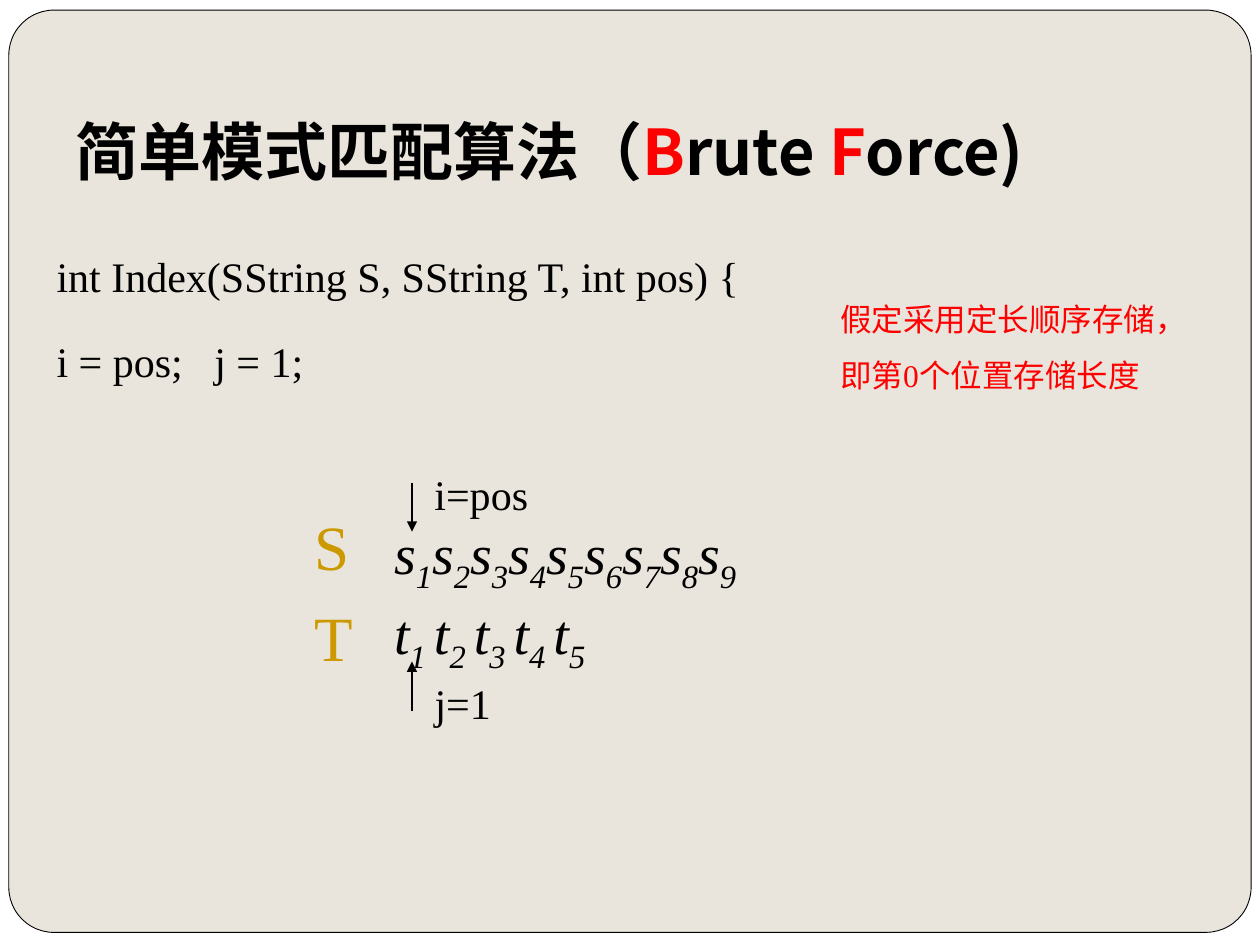
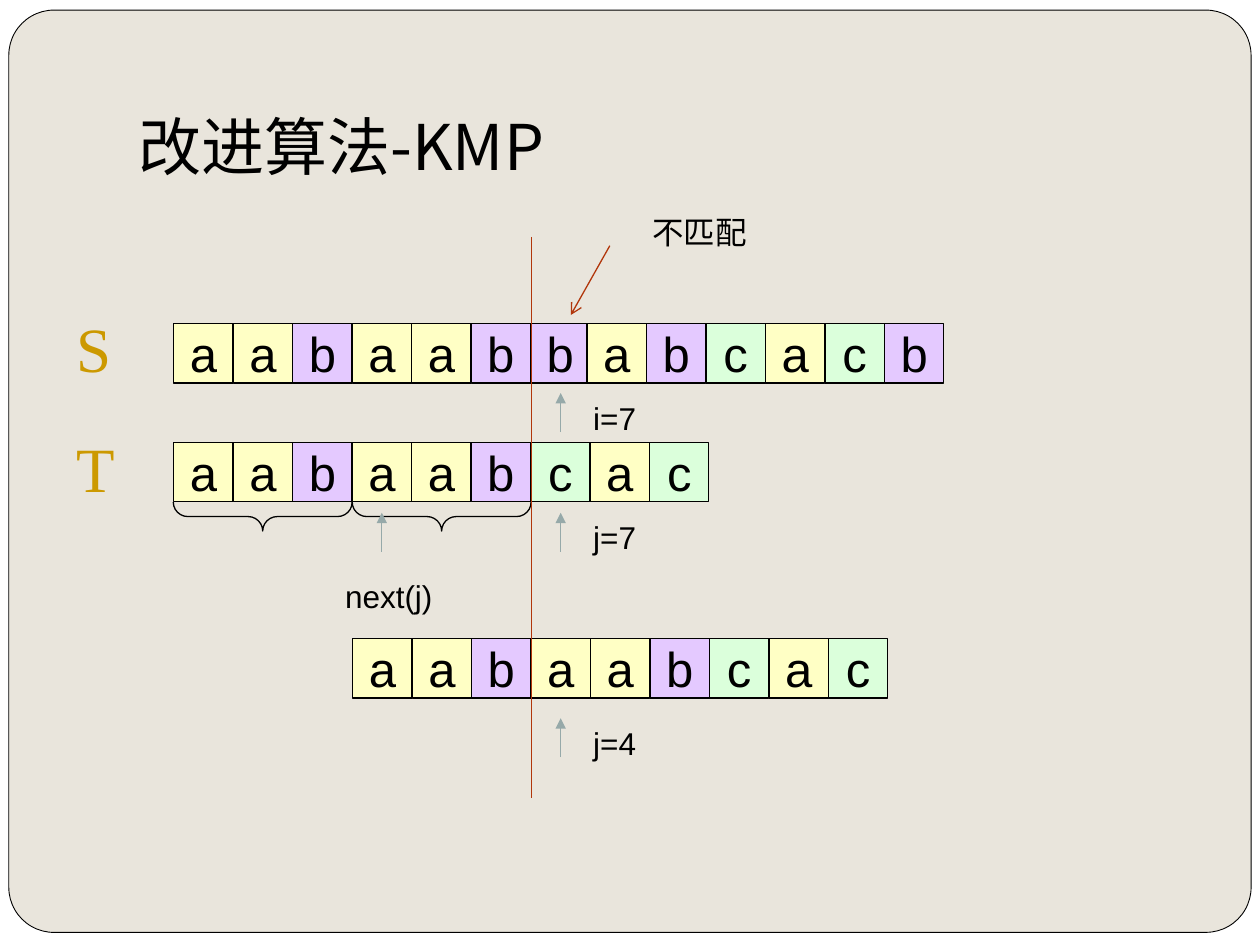
"""Build two slides on string matching: brute force and KMP."""
from dataclasses import dataclass

from lxml.etree import SubElement
from pptx import Presentation
from pptx.dml.color import RGBColor as Rgb
from pptx.enum.shapes import MSO_CONNECTOR as Link, MSO_SHAPE as Form
from pptx.enum.text import MSO_ANCHOR as Anchor, MSO_AUTO_SIZE as Fit, PP_ALIGN as Align
from pptx.oxml.ns import qn
from pptx.slide import Slide
from pptx.util import Inches, Pt

COLORS = {
    "white": "FFFFFF", "panel": "E9E5DC", "ink": "000000", "red": "FF0000",
    "gold": "CC9900", "gray": "96A9A9", "rust": "B1360B",
    "a": "FFFFC5", "b": "E4C9FF", "c": "DBFFDB",
}
HAN, SERIF, SANS = "Noto Sans CJK SC", "Times New Roman", "Arial"
STEP, CELL = 0.472, 0.47


@dataclass
class Bit:
    text: str
    color: str = ""
    base: int = 0


@dataclass
class Label:
    bits: list[Bit]
    left: float
    top: float
    width: float
    height: float
    size: int
    face: str = SERIF
    color: str = "ink"
    wrap: bool = False
    bold: bool = False
    slant: bool = False
    space: float = 1.0


@dataclass
class Stroke:
    start: tuple[float, float]
    end: tuple[float, float]
    color: str = "gray"
    head: str = "triangle"


@dataclass
class Row:
    words: list[tuple[str, float]]
    top: float


def tint(name: str) -> Rgb:
    return Rgb.from_string(COLORS[name])


def style(run, size: int, face: str, color: str) -> None:
    font = run.font
    font.size, font.name = Pt(size), face
    font.color.rgb = tint(color)
    SubElement(run._r.get_or_add_rPr(), qn("a:ea")).set("typeface", HAN)


def write(slide: Slide, label: Label):
    box = slide.shapes.add_textbox(*map(Inches, (label.left, label.top, label.width, label.height)))
    frame = box.text_frame
    frame.word_wrap = label.wrap
    frame.auto_size = Fit.SHAPE_TO_FIT_TEXT
    para = frame.paragraphs[0]
    para.line_spacing = label.space
    for bit in label.bits:
        run = para.add_run()
        run.text = bit.text
        style(run, label.size, label.face, bit.color or label.color)
        run.font.bold, run.font.italic = label.bold, label.slant
        if bit.base:
            run._r.get_or_add_rPr().set("baseline", str(bit.base * 1000))
    return frame


def title(slide: Slide, bits: list[Bit], left: float, top: float,
          width: float, height: float, bold: bool = False) -> None:
    frame = write(slide, Label(bits, left, top, width, height, 36, HAN, wrap=True, bold=bold))
    frame.auto_size = Fit.NONE
    frame.vertical_anchor = Anchor.BOTTOM
    frame.margin_bottom = Inches(0.1)


def shape(shapes, form: Form, left: float, top: float, width: float,
          height: float, fill: str = "", line: float = 0.75):
    item = shapes.add_shape(form, *map(Inches, (left, top, width, height)))
    item.shadow.inherit = False
    if fill:
        item.fill.solid()
        item.fill.fore_color.rgb = tint(fill)
    else:
        item.fill.background()
    item.line.color.rgb = tint("ink")
    item.line.width = Pt(line)
    return item


def draw(slide: Slide, stroke: Stroke) -> None:
    link = slide.shapes.add_connector(Link.STRAIGHT, *map(Inches, stroke.start + stroke.end))
    link.line.color.rgb = tint(stroke.color)
    link.line.width = Pt(0.75)
    if stroke.head:
        SubElement(link.line._get_or_add_ln(), qn("a:tailEnd")).set("type", stroke.head)
    SubElement(link._element.spPr, qn("a:effectLst"))


def cells(slide: Slide, row: Row) -> None:
    group = slide.shapes.add_group_shape()
    for word, left in row.words:
        for spot, char in enumerate(word):
            cell = shape(group.shapes, Form.RECTANGLE, left + spot * STEP, row.top, CELL, CELL, char)
            frame = cell.text_frame
            frame.word_wrap = False
            frame.vertical_anchor = Anchor.MIDDLE
            para = frame.paragraphs[0]
            para.text = char
            para.alignment = Align.CENTER
            style(para.runs[0], 28, SANS, "ink")


def brace(slide: Slide, left: float) -> None:
    item = shape(slide.shapes, Form.RIGHT_BRACE, left, 3.39, 0.23, 1.42)
    item.rotation = 90
    item.adjustments[0] = 0.504


def names(slide: Slide, left: float, tops: tuple[float, float]) -> None:
    for name, top in zip("ST", tops):
        write(slide, Label([Bit(name)], left, top, 0.5, 0.7, 36, color="gold"))


def series(char: str, count: int, gap: str = "") -> list[Bit]:
    bits = []
    for spot in range(1, count + 1):
        tail = gap if spot < count else ""
        bits += [Bit(char), Bit(f"{spot}{tail}", base=-25)]
    return bits


def start(deck) -> Slide:
    slide = deck.slides.add_slide(deck.slide_layouts[6])
    slide.background.fill.solid()
    slide.background.fill.fore_color.rgb = tint("white")
    panel = shape(slide.shapes, Form.ROUNDED_RECTANGLE, 0.07, 0.08, 9.86, 7.32, "panel", 0.5)
    panel.adjustments[0] = 0.049
    return slide


def brute(deck) -> None:
    slide = start(deck)
    code = write(slide, Label([Bit("int Index(SString S, SString T, int pos) {")],
                              0.35, 1.86, 9.65, 1.27, 24, wrap=True, space=1.2))
    line = code.add_paragraph()
    line.text = "i = pos;   j = 1;"
    line.line_spacing, line.space_before = 1.2, Pt(14)
    style(line.runs[0], 24, SERIF, "ink")
    write(slide, Label(series("s", 9), 3.03, 4.07, 3.62, 0.63, 32, wrap=True, slant=True))
    write(slide, Label(series("t", 5, " "), 3.03, 4.7, 2.76, 0.63, 32, wrap=True, slant=True))
    names(slide, 2.4, (3.98, 4.7))
    for tail, tip in ((3.83, 4.22), (5.64, 5.25)):
        draw(slide, Stroke((3.27, tail), (3.27, tip), "ink"))
    write(slide, Label([Bit("i=pos")], 3.35, 3.67, 0.94, 0.5, 24))
    write(slide, Label([Bit("j=1")], 3.35, 5.33, 0.65, 0.5, 24))
    write(slide, Label([Bit("假定采用定长顺序存储，即第0个位置存储长度")],
                       6.57, 2.18, 2.99, 1.01, 18, color="red", wrap=True, space=1.5))
    bits = [Bit("简单模式匹配算法（"), Bit("B", "red"), Bit("rute "),
            Bit("F", "red"), Bit("orce)")]
    title(slide, bits, 0.5, 0.62, 9, 0.97, bold=True)


def kmp(deck) -> None:
    slide = start(deck)
    title(slide, [Bit("改进算法-KMP")], 1, 0.3, 8.5, 1.25)
    rows = [
        Row([("aabaabb", 1.38), ("abcacb", 4.66)], 2.57),
        Row([("aabaabcac", 1.38)], 3.51),
        Row([("aabaabcac", 2.8)], 5.07),
    ]
    for row in rows:
        cells(slide, row)
    names(slide, 0.51, (2.41, 3.36))
    for left in (1.97, 3.39):
        brace(slide, left)
    for left, tip in ((4.45, 3.12), (4.45, 4.07), (3.03, 4.07), (4.45, 5.7)):
        draw(slide, Stroke((left, tip + 0.31), (left, tip)))
    notes = [("i=7", 4.61, 3.12, 0.54), ("j=7", 4.61, 4.06, 0.55),
             ("next(j)", 2.64, 4.53, 0.9), ("j=4", 4.61, 5.7, 0.55)]
    for text, left, top, width in notes:
        write(slide, Label([Bit(text)], left, top, width, 0.4, 18, SANS))
    draw(slide, Stroke((4.22, 1.88), (4.22, 6.33), "rust", ""))
    draw(slide, Stroke((4.84, 1.95), (4.53, 2.5), "rust", "arrow"))
    write(slide, Label([Bit("不匹配")], 5.08, 1.64, 1.25, 0.4, 18, wrap=True))


def main() -> None:
    deck = Presentation()
    deck.slide_width, deck.slide_height = Inches(10), Inches(7.5)
    brute(deck)
    kmp(deck)
    deck.save("out.pptx")


if __name__ == "__main__":
    main()
